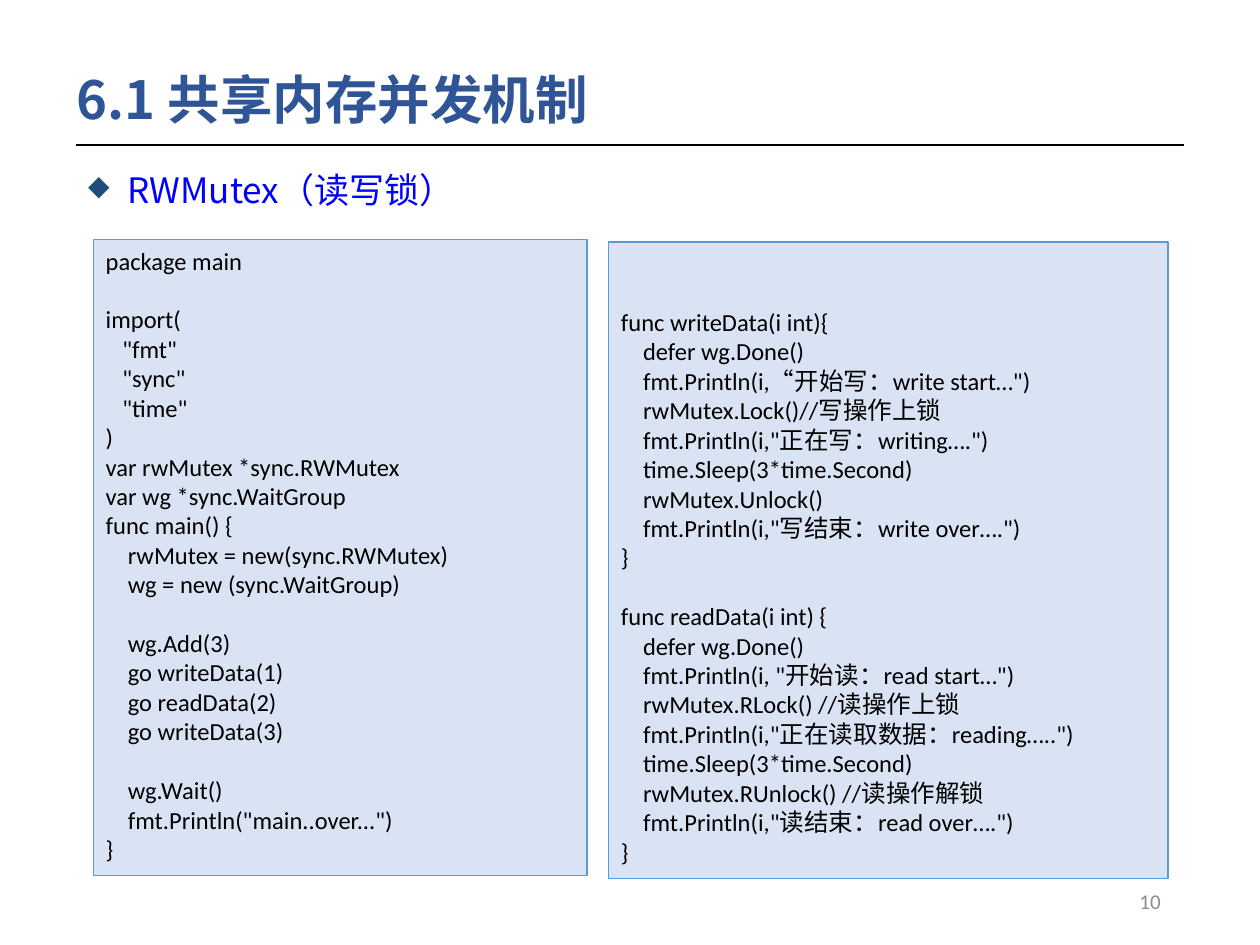
from lxml.etree import SubElement
from pptx import Presentation
from pptx.dml.color import RGBColor
from pptx.enum.shapes import MSO_CONNECTOR, MSO_SHAPE
from pptx.enum.text import MSO_ANCHOR, MSO_AUTO_SIZE, PP_ALIGN
from pptx.oxml.ns import qn
from pptx.util import Inches, Pt

TITLE_BLUE = RGBColor(0x2F, 0x55, 0x97)
TOPIC_BLUE = RGBColor(0x00, 0x00, 0xFF)
PANEL_FILL = RGBColor(0xDA, 0xE3, 0xF3)
PANEL_LINE = RGBColor(0x5B, 0x9B, 0xD5)
BLACK = RGBColor(0x00, 0x00, 0x00)
GRAY = RGBColor(0x8C, 0x8C, 0x8C)
CJK_FONT = "Noto Sans CJK SC"
LINE_HEIGHT = Pt(16.8)
SPACE_WIDTH = Inches(0.044)

MAIN_CODE = """package main

import(
   "fmt"
   "sync"
   "time"
)
var rwMutex *sync.RWMutex
var wg *sync.WaitGroup
func main() {
    rwMutex = new(sync.RWMutex)
    wg = new (sync.WaitGroup)

    wg.Add(3)
    go writeData(1)
    go readData(2)
    go writeData(3)

    wg.Wait()
    fmt.Println("main..over...")
}"""

DATA_CODE = """func writeData(i int){
    defer wg.Done()
    fmt.Println(i,“开始写：write start…")
    rwMutex.Lock()//写操作上锁
    fmt.Println(i,"正在写：writing….")
    time.Sleep(3*time.Second)
    rwMutex.Unlock()
    fmt.Println(i,"写结束：write over….")
}

func readData(i int) {
    defer wg.Done()
    fmt.Println(i, "开始读：read start…")
    rwMutex.RLock() //读操作上锁
    fmt.Println(i,"正在读取数据：reading…..")
    time.Sleep(3*time.Second)
    rwMutex.RUnlock() //读操作解锁
    fmt.Println(i,"读结束：read over….")
}"""


def write(para, text, size=14, font="Calibri", color=BLACK, bold=False,
          align=PP_ALIGN.LEFT, before=0, spacing=1.0, margin=0, indent=0):
    para.alignment = align
    para.space_before = before
    para.line_spacing = spacing
    properties = para._p.get_or_add_pPr()
    properties.set("marL", str(int(margin)))
    properties.set("indent", str(int(indent)))
    span = para.add_run()
    span.text = text
    span.font.size = Pt(size)
    span.font.name = font
    span.font.bold = bold
    span.font.color.rgb = color
    SubElement(span.font._element, qn("a:ea"), typeface=CJK_FONT)


deck = Presentation()
deck.slide_width = Inches(10)
deck.slide_height = Inches(7.5)
page = deck.slides.add_slide(deck.slide_layouts[5])

title = page.shapes.title
title.left, title.top = Inches(0.51), Inches(0.48)
title.width, title.height = Inches(8.62), Inches(0.67)
title.text_frame.auto_size = MSO_AUTO_SIZE.NONE
title.text_frame.vertical_anchor = MSO_ANCHOR.MIDDLE
write(title.text_frame.paragraphs[0], "6.1 共享内存并发机制", size=30,
      font=CJK_FONT, color=TITLE_BLUE, bold=True, spacing=0.9)

rule = page.shapes.add_connector(
    MSO_CONNECTOR.STRAIGHT, Inches(0.6), Inches(1.15), Inches(9.4), Inches(1.15))
rule.line.color.rgb = BLACK
rule.line.width = Pt(1.5)
SubElement(rule._element.spPr, qn("a:effectLst"))

topic = page.shapes.add_textbox(Inches(0.6), Inches(1.22), Inches(8.98), Inches(0.6))
topic.text_frame.word_wrap = True
topic_para = topic.text_frame.paragraphs[0]
write(topic_para, "RWMutex（读写锁）", size=20, font=CJK_FONT, color=TOPIC_BLUE,
      before=Pt(10), spacing=1.2, margin=Inches(0.31), indent=-Inches(0.31))
topic_format = topic_para._p.get_or_add_pPr()
bullet_color = SubElement(topic_format, qn("a:buClr"))
SubElement(bullet_color, qn("a:srgbClr"), val="1F4E79")
SubElement(topic_format, qn("a:buSzPct"), val="80000")
SubElement(topic_format, qn("a:buChar"), char="◆")

panels = [
    (0.74, 1.90, 3.92, 0, MAIN_CODE),
    (4.83, 1.92, 4.44, 2, DATA_CODE),
]
for left, top, width, skipped_lines, code in panels:
    panel = page.shapes.add_shape(
        MSO_SHAPE.RECTANGLE, Inches(left), Inches(top), Inches(width), Inches(5.05))
    panel.shadow.inherit = False
    panel.fill.solid()
    panel.fill.fore_color.rgb = PANEL_FILL
    panel.line.color.rgb = PANEL_LINE
    panel.line.width = Pt(0.75)
    frame = panel.text_frame
    frame.word_wrap = True
    frame.vertical_anchor = MSO_ANCHOR.TOP
    frame.margin_top = Inches(0.05) + skipped_lines * LINE_HEIGHT
    para = frame.paragraphs[0]
    for block_number, block in enumerate(code.split("\n\n")):
        for line_number, line in enumerate(block.split("\n")):
            if block_number or line_number:
                para = frame.add_paragraph()
            text = line.lstrip()
            starts_block = block_number > 0 and line_number == 0
            write(para, text, before=LINE_HEIGHT if starts_block else 0,
                  margin=(len(line) - len(text)) * SPACE_WIDTH)

number = page.shapes.add_textbox(Inches(7.06), Inches(6.95), Inches(2.25), Inches(0.4))
number.text_frame.word_wrap = True
number.text_frame.vertical_anchor = MSO_ANCHOR.MIDDLE
write(number.text_frame.paragraphs[0], "10", size=12, color=GRAY, align=PP_ALIGN.RIGHT)

deck.save("out.pptx")
